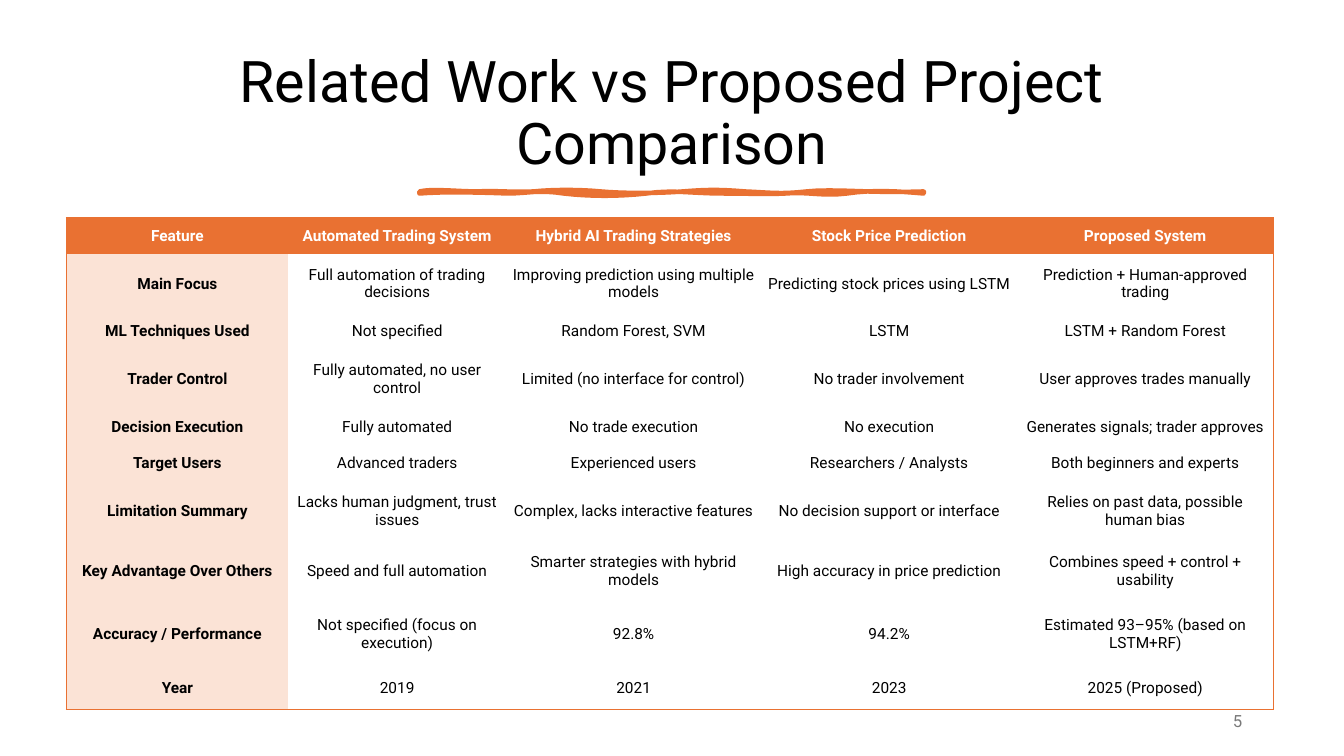
from dataclasses import dataclass
from typing import NamedTuple

from lxml import etree
from pptx import Presentation
from pptx.dml.color import RGBColor
from pptx.enum import text
from pptx.oxml.ns import qn
from pptx.util import Inches, Pt


@dataclass(frozen=True)
class Theme:
    font: str = "Roboto"
    accent: str = "E97132"
    tint: str = "FBE3D6"
    ink: str = "000000"
    white: str = "FFFFFF"
    gray: str = "797979"
    title_size: float = 41
    table_size: float = 11
    number_size: float = 12
    underline_width: float = 3.25
    border_width: float = 1


class Box(NamedTuple):
    left: float
    top: float
    width: float
    height: float

    def lengths(self) -> list:
        return [Inches(value) for value in self]


class Row(NamedTuple):
    height: float
    cells: tuple


class Curve(NamedTuple):
    """Two control points and an end point, in inches."""
    x1: float
    y1: float
    x2: float
    y2: float
    x: float
    y: float


THEME = Theme()
NO_GRID_STYLE = "{2D5ABB26-0587-4C30-8999-92F81FD0307C}"
TITLE_BOX = Box(0.7, 0.46, 11.93, 1.37)
TABLE_BOX = Box(0.66, 2.16, 11.97, 4.88)
NUMBER_BOX = Box(9.42, 6.95, 3, 0.4)
COLUMN_WIDTHS = (2.2, 2.16, 2.53, 2.54, 2.54)
ROOMY_CELLS = {(8, 1), (8, 4)} | {(9, column) for column in range(5)}

ROWS = (
    Row(0.36, ("Feature", "Automated Trading System", "Hybrid AI Trading Strategies",
               "Stock Price Prediction", "Proposed System")),
    Row(0.59, ("Main Focus", "Full automation of trading decisions",
               "Improving prediction using multiple models",
               "Predicting stock prices using LSTM", "Prediction + Human-approved trading")),
    Row(0.36, ("ML Techniques Used", "Not specified", "Random Forest, SVM", "LSTM",
               "LSTM + Random Forest")),
    Row(0.59, ("Trader Control", "Fully automated, no user control",
               "Limited (no interface for control)", "No trader involvement",
               "User approves trades manually")),
    Row(0.36, ("Decision Execution", "Fully automated", "No trade execution", "No execution",
               "Generates signals; trader approves")),
    Row(0.36, ("Target Users", "Advanced traders", "Experienced users",
               "Researchers / Analysts", "Both beginners and experts")),
    Row(0.59, ("Limitation Summary", "Lacks human judgment, trust issues",
               "Complex, lacks interactive features", "No decision support or interface",
               "Relies on past data, possible human bias")),
    Row(0.59, ("Key Advantage Over Others", "Speed and full automation",
               "Smarter strategies with hybrid models", "High accuracy in price prediction",
               "Combines speed + control + usability")),
    Row(0.66, ("Accuracy / Performance", "Not specified (focus on execution)", "92.8%",
               "94.2%", "Estimated 93–95% (based on LSTM+RF)")),
    Row(0.42, ("Year", "2019", "2021", "2023", "2025 (Proposed)")),
)

UNDERLINE_START = (4.16, 1.9)
UNDERLINE = (
    Curve(4.28, 1.87, 4.54, 1.9, 4.73, 1.9), Curve(4.92, 1.89, 5.09, 1.91, 5.29, 1.9),
    Curve(5.49, 1.88, 5.74, 1.88, 5.96, 1.9), Curve(6.17, 1.92, 6.53, 1.92, 6.77, 1.9),
    Curve(7.02, 1.88, 7.14, 1.88, 7.39, 1.9), Curve(7.63, 1.91, 7.74, 1.93, 8, 1.9),
    Curve(8.26, 1.87, 8.67, 1.92, 9.16, 1.9), Curve(9.17, 1.91, 9.16, 1.91, 9.16, 1.92),
    Curve(8.95, 1.9, 8.65, 1.88, 8.4, 1.92), Curve(8.15, 1.95, 8.01, 1.9, 7.79, 1.92),
    Curve(7.56, 1.93, 7.47, 1.92, 7.17, 1.92), Curve(6.87, 1.92, 6.67, 1.88, 6.41, 1.92),
    Curve(6.14, 1.95, 5.85, 1.95, 5.59, 1.92), Curve(5.34, 1.88, 5.23, 1.92, 5.03, 1.92),
    Curve(4.83, 1.91, 4.38, 1.9, 4.16, 1.92), Curve(4.16, 1.91, 4.16, 1.9, 4.16, 1.9),
)


def write(frame, words: str, size: float, color: str, align, bold: bool = False) -> None:
    frame.text = words
    paragraph = frame.paragraphs[0]
    paragraph.alignment = align
    font = paragraph.runs[0].font
    font.name, font.size, font.bold = THEME.font, Pt(size), bold
    font.color.rgb = RGBColor.from_string(color)


def add_title(page) -> None:
    title = page.shapes.title
    title.left, title.top, title.width, title.height = TITLE_BOX.lengths()
    frame = title.text_frame
    write(frame, "Related Work vs Proposed Project Comparison", THEME.title_size, THEME.ink,
          text.PP_ALIGN.CENTER)
    frame.paragraphs[0].line_spacing = 0.9
    frame.word_wrap = True
    frame.auto_size = text.MSO_AUTO_SIZE.NONE
    frame.vertical_anchor = text.MSO_ANCHOR.MIDDLE


def curve_points(start: tuple, curves: tuple, steps: int = 8) -> list:
    points = []
    for curve in curves:
        corners = (start, curve[0:2], curve[2:4], curve[4:6])
        for step in range(1, steps + 1):
            t = step / steps
            weights = ((1 - t) ** 3, 3 * t * (1 - t) ** 2, 3 * t * t * (1 - t), t ** 3)
            points.append(tuple(Inches(sum(weight * corner[axis] for weight, corner
                                           in zip(weights, corners))) for axis in (0, 1)))
        start = corners[-1]
    return points


def add_underline(page) -> None:
    builder = page.shapes.build_freeform(*[Inches(value) for value in UNDERLINE_START])
    builder.add_line_segments(curve_points(UNDERLINE_START, UNDERLINE), close=True)
    underline = builder.convert_to_shape()
    underline.shadow.inherit = False
    underline.fill.solid()
    underline.fill.fore_color.rgb = RGBColor.from_string(THEME.accent)
    underline.line.color.rgb = RGBColor.from_string(THEME.accent)
    underline.line.width = Pt(THEME.underline_width)
    etree.SubElement(underline.line.fill._xPr, qn("a:round"))


def add_borders(cell, sides: str) -> None:
    properties = cell._tc.get_or_add_tcPr()
    for index, side in enumerate(sides):
        line = etree.Element(qn(f"a:ln{side}"), w=str(Pt(THEME.border_width)))
        fill = etree.SubElement(line, qn("a:solidFill"))
        etree.SubElement(fill, qn("a:srgbClr"), val=THEME.accent)
        properties.insert(index, line)


def add_comparison(page) -> None:
    last_row, last_column = len(ROWS) - 1, len(COLUMN_WIDTHS) - 1
    holder = page.shapes.add_table(len(ROWS), len(COLUMN_WIDTHS), *TABLE_BOX.lengths())
    table = holder.table
    next(holder.element.iter(qn("a:tableStyleId"))).text = NO_GRID_STYLE
    table.horz_banding = False
    for column, width in zip(table.columns, COLUMN_WIDTHS):
        column.width = Inches(width)
    for i, row in enumerate(ROWS):
        table.rows[i].height = Inches(row.height)
        for j, words in enumerate(row.cells):
            cell = table.cell(i, j)
            side, edge = (0.11, 0.06) if (i, j) in ROOMY_CELLS else (0.06, 0.03)
            cell.margin_left = cell.margin_right = Inches(side)
            cell.margin_top = cell.margin_bottom = Inches(edge)
            cell.vertical_anchor = text.MSO_ANCHOR.MIDDLE
            write(cell.text_frame, words, THEME.table_size, THEME.ink if i else THEME.white,
                  text.PP_ALIGN.CENTER, bold=i == 0 or j == 0)
            if i == 0 or j == 0:
                cell.fill.solid()
                cell.fill.fore_color.rgb = RGBColor.from_string(THEME.tint if i else THEME.accent)
            else:
                cell.fill.background()
            outer = {"L": j == 0, "R": j == last_column, "T": i == 0, "B": i == last_row}
            add_borders(cell, "".join(name for name, shown in outer.items() if shown))


def add_page_number(page) -> None:
    frame = page.shapes.add_textbox(*NUMBER_BOX.lengths()).text_frame
    frame.word_wrap = True
    frame.vertical_anchor = text.MSO_ANCHOR.MIDDLE
    write(frame, "5", THEME.number_size, THEME.gray, text.PP_ALIGN.RIGHT)


def main() -> None:
    deck = Presentation()
    deck.slide_width, deck.slide_height = Inches(13.33), Inches(7.5)
    page = deck.slides.add_slide(deck.slide_layouts[5])
    # Heading
    add_title(page)
    add_underline(page)
    # Comparison table
    add_comparison(page)
    # Footer
    add_page_number(page)
    deck.save("out.pptx")


if __name__ == "__main__":
    main()
